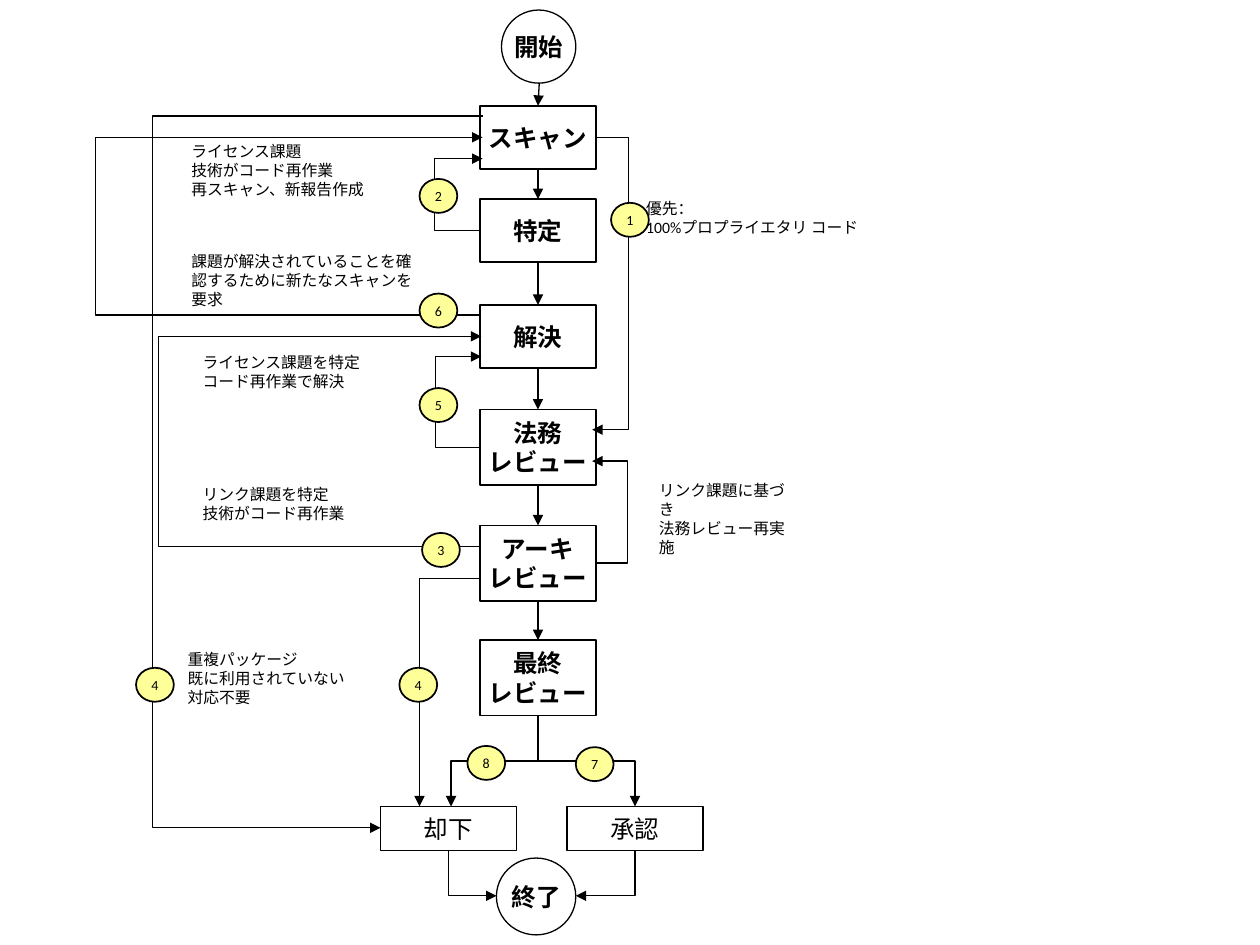
"""Build a flowchart slide of a source code licence review process."""
from dataclasses import dataclass

from lxml.etree import SubElement
from pptx import Presentation
from pptx.dml.color import RGBColor
from pptx.enum.shapes import MSO_CONNECTOR as Link, MSO_SHAPE as Kind
from pptx.enum.text import MSO_ANCHOR as Anchor, MSO_AUTO_SIZE as Fit, PP_ALIGN as Align
from pptx.oxml.ns import qn
from pptx.util import Inches, Pt


@dataclass(frozen=True)
class Theme:
    font: str = "Calibri"
    ink: RGBColor = RGBColor(0, 0, 0)
    paper: RGBColor = RGBColor(255, 255, 255)
    badge: RGBColor = RGBColor(255, 255, 153)
    step_size: int = 14
    note_size: int = 9
    badge_size: int = 8
    box_line: float = 1
    thin_line: float = 0.75


THEME = Theme()
STEP_LEFT, STEP_WIDTH = 3.81, 0.92
BADGE_WIDTH, BADGE_HEIGHT = 0.3, 0.27
OUTCOME_TOP, OUTCOME_WIDTH, OUTCOME_HEIGHT = 6.4, 1.08, 0.35

STEPS = [
    ("スキャン", 0.84, 0.5),
    ("特定", 1.58, 0.5),
    ("解決", 2.42, 0.5),
    ("法務\nレビュー", 3.25, 0.6),
    ("アーキ\nレビュー", 4.17, 0.6),
    ("最終\nレビュー", 5.08, 0.6),
]
TERMINALS = [("開始", (3.98, 0.08, 0.59, 0.58)), ("終了", (3.94, 6.81, 0.63, 0.61))]
OUTCOMES = [("却下", 3.02), ("承認", 4.5)]

SIDE_ROUTES = [
    ((4.72, 1.09), (4.7, 3.41), 4.99),
    ((3.81, 1.83), (3.83, 1.26), 3.45),
    ((3.81, 2.5), (3.83, 1.09), 0.77),
    ((4.72, 4.47), (4.7, 3.66), 4.98),
    ((3.81, 3.55), (3.82, 2.83), 3.45),
    ((3.81, 4.34), (3.82, 2.67), 1.22),
    ((3.83, 0.92), (3.02, 6.57), 1.21),
]
SPLIT_ROUTES = [((4.27, 5.68), (5.04, 6.4)), ((4.27, 5.68), (3.58, 6.4))]
DOWN_CORNERS = [((5.04, 6.75), (4.57, 7.11)), ((3.56, 6.75), (3.94, 7.11))]
SIDE_CORNERS = [((3.81, 4.59), (3.33, 6.4))]

NOTES = [
    ("優先：\n100%プロプライエタリ コード", (5.03, 1.53, 1.91, 0.4), False),
    ("ライセンス課題\n技術がコード再作業\n再スキャン、新報告作成", (1.42, 1.08, 1.99, 0.55), True),
    ("課題が解決されていることを確認するために新たなスキャンを要求", (1.42, 1.95, 2.05, 0.55), True),
    ("ライセンス課題を特定\nコード再作業で解決", (1.51, 2.75, 1.66, 0.55), True),
    ("リンク課題を特定\n技術がコード再作業", (1.51, 3.8, 1.63, 0.4), True),
    ("重複パッケージ\n既に利用されていない\n対応不要", (1.39, 5.11, 1.45, 0.55), False),
    ("リンク課題に基づき\n法務レビュー再実施", (5.13, 3.77, 1.32, 0.4), False),
]
BADGES = [
    ("1", 4.85, 1.61), ("2", 3.33, 1.42), ("3", 3.35, 4.23),
    ("4", 3.17, 5.3), ("4", 1.08, 5.3), ("5", 3.33, 3.08),
    ("6", 3.33, 2.33), ("7", 4.57, 5.93), ("8", 3.71, 5.92),
]


def write(frame, text, size, bold=False, align=Align.LEFT, wrap=False):
    frame.text = text
    frame.word_wrap = wrap
    for para in frame.paragraphs:
        para.alignment = align
        for span in para.runs:
            span.font.name = THEME.font
            span.font.size = Pt(size)
            span.font.bold = bold
            span.font.color.rgb = THEME.ink


def add_box(slide, kind, place, text, size, bold=False, fill=None, line=THEME.box_line):
    box = slide.shapes.add_shape(kind, *map(Inches, place))
    box.shadow.inherit = False
    if fill is None:
        box.fill.background()
    else:
        box.fill.solid()
        box.fill.fore_color.rgb = fill
    box.line.color.rgb = THEME.ink
    box.line.width = Pt(line)
    box.text_frame.vertical_anchor = Anchor.MIDDLE
    write(box.text_frame, text, size, bold, Align.CENTER)
    return box


def add_arrow(slide, start, end, link=Link.STRAIGHT):
    arrow = slide.shapes.add_connector(link, *map(Inches, start + end))
    arrow.line.color.rgb = THEME.ink
    arrow.line.width = Pt(THEME.thin_line)
    SubElement(arrow.line._get_or_add_ln(), qn("a:tailEnd"), type="triangle")
    SubElement(arrow._element.spPr, qn("a:effectLst"))
    return arrow


def make_corner(arrow):
    arrow._element.spPr.find(qn("a:prstGeom")).set("prst", "bentConnector2")


def add_side_route(slide, start, end, lane):
    arrow = add_arrow(slide, start, end, Link.ELBOW)
    ratio = (lane - start[0]) / (end[0] - start[0])
    guides = arrow._element.spPr.find(qn("a:prstGeom")).get_or_add_avLst()
    SubElement(guides, qn("a:gd"), name="adj1", fmla=f"val {round(ratio * 100000)}")


def add_down_route(slide, start, end):
    arrow = add_arrow(slide, start, end, Link.ELBOW)
    across, down = end[0] - start[0], end[1] - start[1]
    arrow.left = Inches((start[0] + end[0] - down) / 2)
    arrow.top = Inches((start[1] + end[1] - abs(across)) / 2)
    arrow.width, arrow.height = Inches(down), Inches(abs(across))
    frame = arrow._element.spPr.find(qn("a:xfrm"))
    frame.set("rot", str((270 if across > 0 else 90) * 60000))
    frame.set("flipH", "1" if across > 0 else "0")
    return arrow


def add_nodes(slide):
    steps = [
        add_box(slide, Kind.RECTANGLE, (STEP_LEFT, top, STEP_WIDTH, height), text, THEME.step_size, True)
        for text, top, height in STEPS
    ]
    for text, place in TERMINALS:
        add_box(slide, Kind.OVAL, place, text, THEME.step_size, True, THEME.paper, THEME.thin_line)
    for text, left in OUTCOMES:
        place = (left, OUTCOME_TOP, OUTCOME_WIDTH, OUTCOME_HEIGHT)
        add_box(slide, Kind.RECTANGLE, place, text, THEME.step_size)
    return steps


def add_flows(slide, steps):
    add_arrow(slide, (4.28, 0.66), (4.27, 0.84)).end_connect(steps[0], 0)
    for upper, lower in zip(steps, steps[1:]):
        arrow = add_arrow(slide, (0, 0), (1, 1))
        arrow.begin_connect(upper, 2)
        arrow.end_connect(lower, 0)
    for route in SIDE_ROUTES:
        add_side_route(slide, *route)
    for route in SPLIT_ROUTES:
        add_down_route(slide, *route)
    for route in DOWN_CORNERS:
        make_corner(add_down_route(slide, *route))
    for route in SIDE_CORNERS:
        make_corner(add_arrow(slide, *route, Link.ELBOW))


def add_labels(slide):
    for text, place, wrap in NOTES:
        note = slide.shapes.add_textbox(*map(Inches, place))
        write(note.text_frame, text, THEME.note_size, wrap=wrap)
        note.text_frame.auto_size = Fit.SHAPE_TO_FIT_TEXT
    for text, left, top in BADGES:
        place = (left, top, BADGE_WIDTH, BADGE_HEIGHT)
        add_box(slide, Kind.OVAL, place, text, THEME.badge_size, fill=THEME.badge)


def main():
    deck = Presentation()
    deck.slide_width, deck.slide_height = Inches(10), Inches(7.5)
    slide = deck.slides.add_slide(deck.slide_layouts[6])
    add_flows(slide, add_nodes(slide))
    add_labels(slide)
    deck.save("out.pptx")


if __name__ == "__main__":
    main()
